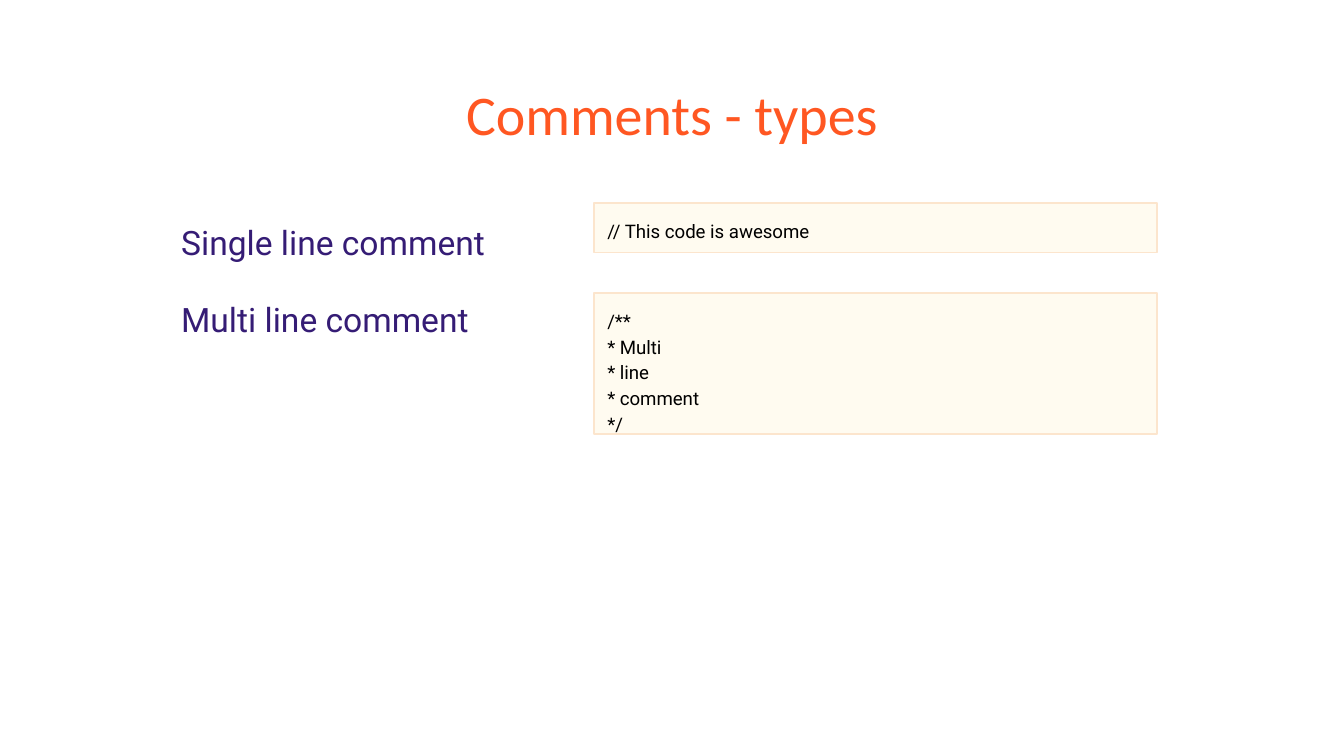
from pptx import Presentation
from pptx.dml.color import RGBColor
from pptx.enum.shapes import MSO_SHAPE
from pptx.enum.text import MSO_ANCHOR, MSO_AUTO_SIZE, PP_ALIGN
from pptx.util import Inches, Pt

ORANGE = RGBColor(0xFF, 0x57, 0x22)
PURPLE = RGBColor(0x35, 0x1C, 0x75)
BLACK = RGBColor(0x00, 0x00, 0x00)
CREAM = RGBColor(0xFF, 0xFB, 0xF0)
PEACH = RGBColor(0xFC, 0xE5, 0xCD)


def place(shape, left, top, width, height):
    shape.left, shape.top = Inches(left), Inches(top)
    shape.width, shape.height = Inches(width), Inches(height)


def write(tf, lines, font, size, color, align=PP_ALIGN.LEFT, spacing=1.15, gap=0):
    tf.word_wrap = True
    tf.auto_size = MSO_AUTO_SIZE.NONE
    tf.vertical_anchor = MSO_ANCHOR.TOP
    tf.margin_left = tf.margin_right = Inches(0.1)
    tf.margin_top = tf.margin_bottom = Inches(0.1)
    for i, line in enumerate(lines):
        p = tf.add_paragraph() if i else tf.paragraphs[0]
        p.text = line
        p.alignment = align
        p.line_spacing = spacing
        p.space_before = Pt(gap if i else 0)
        p.font.name = font
        p.font.size = Pt(size)
        p.font.color.rgb = color


def add_title(s, text):
    title = s.shapes.title
    place(title, 0.34, 0.49, 9.32, 0.63)
    write(title.text_frame, [text], "Calibri", 30, ORANGE, PP_ALIGN.CENTER, 1.0)


def add_body(s, lines):
    box = s.shapes.add_textbox(Inches(1.25), Inches(1.51), Inches(8), Inches(3.74))
    write(box.text_frame, lines, "Roboto", 18, PURPLE, gap=16)


def add_code(s, top, height, lines):
    sp = s.shapes.add_shape(
        MSO_SHAPE.RECTANGLE, Inches(4.42), Inches(top), Inches(4.19), Inches(height)
    )
    sp.shadow.inherit = False
    sp.fill.solid()
    sp.fill.fore_color.rgb = CREAM
    sp.line.color.rgb = PEACH
    sp.line.width = Pt(0.75)
    write(sp.text_frame, lines, "Roboto", 10, BLACK)


def main():
    prs = Presentation()
    prs.slide_width = Inches(10)
    prs.slide_height = Inches(10 * 9 / 16)
    s = prs.slides.add_slide(prs.slide_layouts[5])
    add_title(s, "Comments - types")
    add_body(s, ["Single line comment", "Multi line comment"])
    add_code(s, 1.51, 0.37, ["// This code is awesome"])
    add_code(s, 2.18, 1.05, ["/**", "* Multi", "* line", "* comment", "*/"])
    prs.save("out.pptx")


if __name__ == "__main__":
    main()
